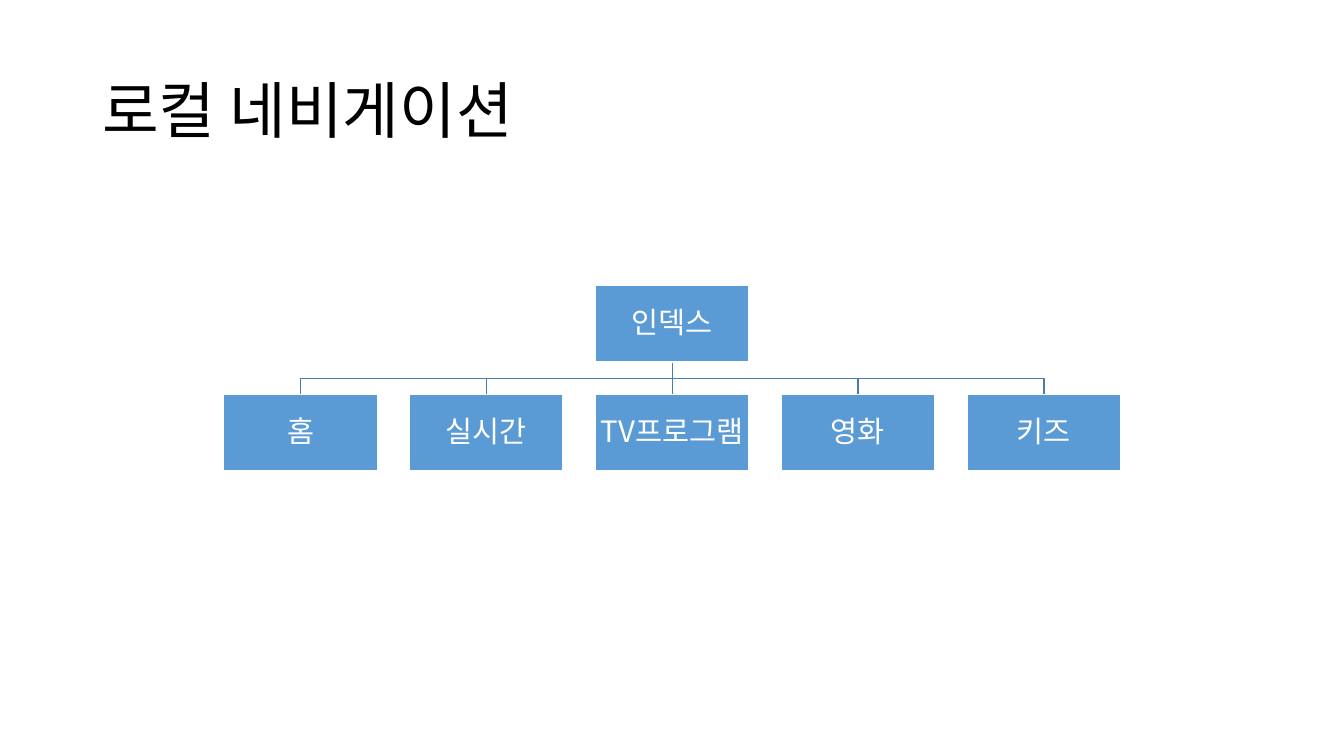
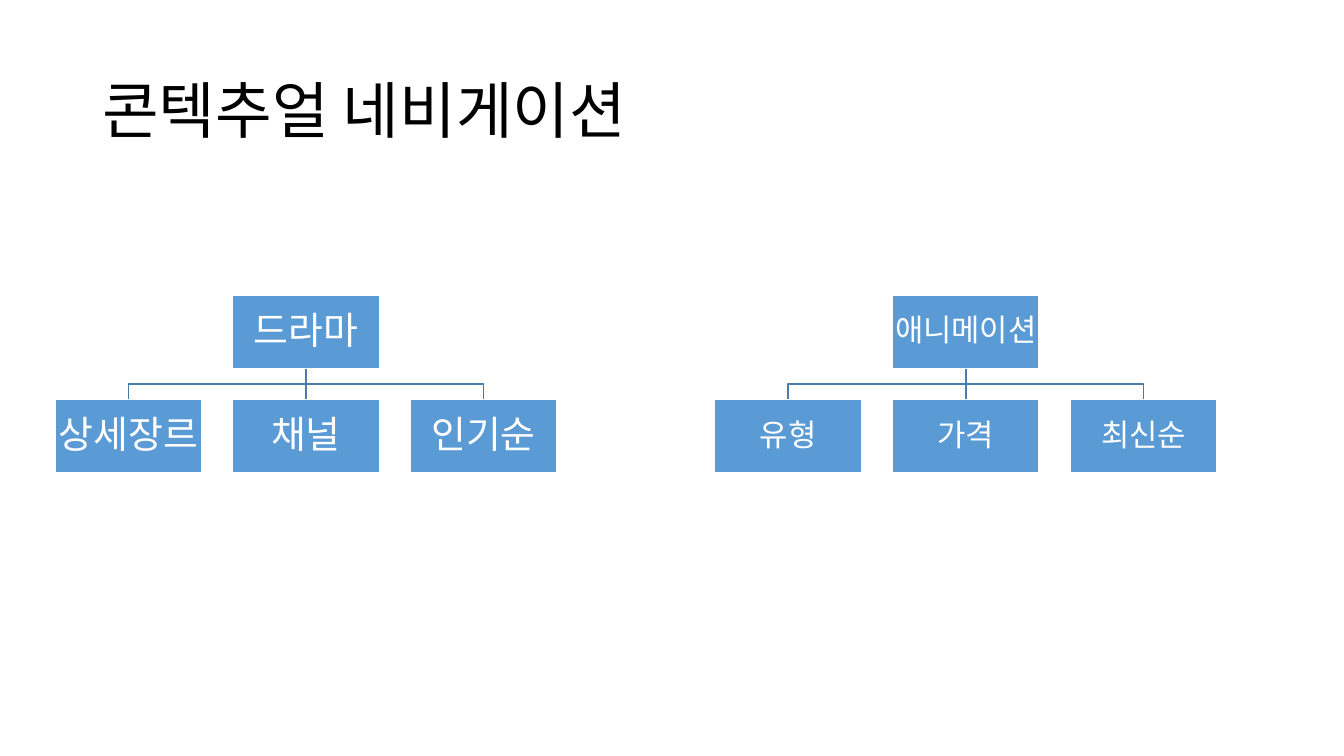
"""Build two slides of navigation trees, each with a title."""
import pptx
import pptx.util
import pptx.dml.color
import pptx.enum.shapes
import pptx.enum.text
from lxml import etree
from pptx.oxml.ns import qn

Cm, Pt = pptx.util.Cm, pptx.util.Pt
ALIGN = pptx.enum.text.PP_ALIGN

FONT = "Noto Sans CJK KR"
COLORS = {"title": "000000", "node": "5B9BD5", "edge": "FFFFFF",
          "label": "FFFFFF", "link": "497CAB"}

SLIDES = [
    {"title": "로컬 네비게이션",
     "trees": [
         {"root": "인덱스", "children": ["홈", "실시간", "TV프로그램", "영화", "키즈"],
          "center": (16.94, 9.53), "node_w": 3.87, "size": 21},
     ]},
    {"title": "콘텍추얼 네비게이션",
     "trees": [
         {"root": "드라마", "children": ["상세장르", "채널", "인기순"],
          "center": (7.71, 9.68), "node_w": 3.7, "size": 27},
         {"root": "애니메이션", "children": ["유형", "가격", "최신순"],
          "center": (24.34, 9.68), "node_w": 3.7, "size": 22},
     ]},
]

NODE_RATIO = 0.5
COLUMN_RATIO = 1.21
ROW_RATIO = 0.71


def rgb(name):
    return pptx.dml.color.RGBColor.from_string(COLORS[name])


def write(tf, text, size, color, align):
    tf.vertical_anchor = pptx.enum.text.MSO_ANCHOR.MIDDLE
    p = tf.paragraphs[0]
    p.text = text
    p.alignment = align
    p.line_spacing = 0.9
    p.font.size = Pt(size)
    p.font.name = FONT
    p.font.color.rgb = rgb(color)
    props = p._p.get_or_add_pPr().get_or_add_defRPr()
    props.set("kern", "0")
    etree.SubElement(props, qn("a:ea"), typeface=FONT)


def add_title(s, text):
    tf = s.shapes.add_textbox(Cm(2.33), Cm(1.01), Cm(29.21), Cm(3.68)).text_frame
    tf.word_wrap = True
    write(tf, text, 44, "title", ALIGN.LEFT)


def add_link(shapes, x1, y1, x2, y2):
    if x1 == x2:
        link = shapes.add_connector(pptx.enum.shapes.MSO_CONNECTOR.STRAIGHT,
                                    Cm(x1), Cm(y1), Cm(x2), Cm(y2))
        etree.SubElement(link._element.spPr, qn("a:effectLst"))
    else:
        bus = (y1 + y2) / 2
        outline = shapes.build_freeform(Cm(x1), Cm(y1))
        outline.add_line_segments([(Cm(x1), Cm(bus)), (Cm(x2), Cm(bus)),
                                   (Cm(x2), Cm(y2))], close=False)
        link = outline.convert_to_shape()
        link.fill.background()
        link.shadow.inherit = False
    link.line.color.rgb = rgb("link")
    link.line.width = Pt(1)


def add_node(shapes, text, x, y, w, h, size):
    sp = shapes.add_shape(pptx.enum.shapes.MSO_SHAPE.RECTANGLE,
                          Cm(x - w / 2), Cm(y), Cm(w), Cm(h))
    sp.shadow.inherit = False
    sp.fill.solid()
    sp.fill.fore_color.rgb = rgb("node")
    sp.line.color.rgb = rgb("edge")
    sp.line.width = Pt(1)
    tf = sp.text_frame
    tf.word_wrap = False
    tf.margin_left = tf.margin_right = tf.margin_top = tf.margin_bottom = Cm(0.04)
    write(tf, text, size, "label", ALIGN.CENTER)


def add_tree(s, root, children, center, node_w, size):
    shapes = s.shapes.add_group_shape().shapes
    cx, cy = center
    node_h = node_w * NODE_RATIO
    row = node_w * ROW_RATIO
    top = cy - (row + node_h) / 2
    child_top = top + row
    middle = (len(children) - 1) / 2
    xs = [cx + (i - middle) * node_w * COLUMN_RATIO for i in range(len(children))]

    for x in reversed(xs):
        add_link(shapes, cx, top + node_h, x, child_top)
    add_node(shapes, root, cx, top, node_w, node_h, size)
    for text, x in zip(children, xs):
        add_node(shapes, text, x, child_top, node_w, node_h, size)


def main():
    prs = pptx.Presentation()
    prs.slide_width, prs.slide_height = Cm(33.87), Cm(19.05)
    for content in SLIDES:
        s = prs.slides.add_slide(prs.slide_layouts[6])
        add_title(s, content["title"])
        for tree in content["trees"]:
            add_tree(s, **tree)
    prs.save("out.pptx")


if __name__ == "__main__":
    main()
